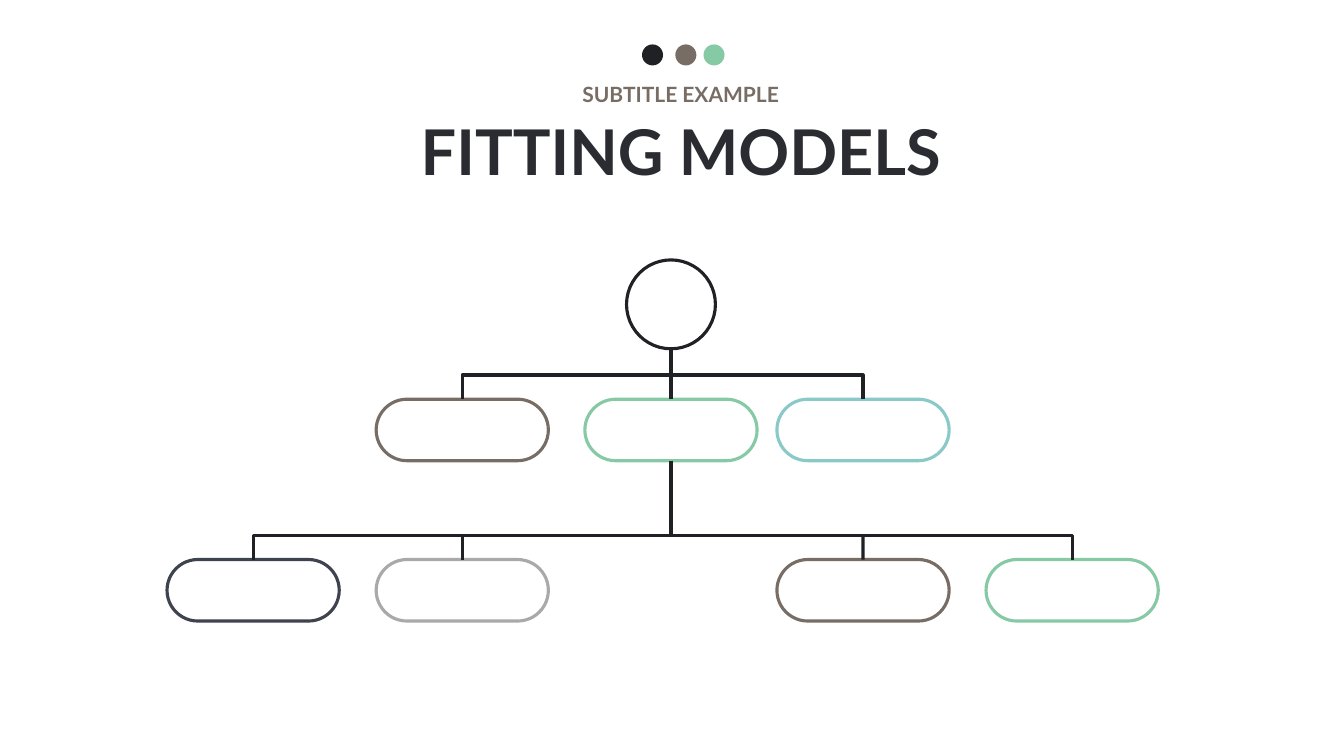
import pptx
import pptx.util
import pptx.dml.color
import pptx.enum.shapes
import pptx.enum.text
import pptx.oxml.ns
from pptx.util import Cm, Pt

HEADINGS = [
    ("FITTING MODELS", 3.0, 1.8, 45, "2A2C31"),
    ("SUBTITLE EXAMPLE", 2.03, 0.74, 15, "776D64"),
]
DOTS = [(16.18, "202125"), (17.02, "776D64"), (17.73, "86C9A5")]
INK = "202125"
TRUNK_X = 16.91
ROOT_TOP, ROOT_SIZE = 6.55, 2.24
BRANCHES = [
    (10.06, [(11.65, "776D64"), (TRUNK_X, "86C9A5"), (21.75, "89C9C7")]),
    (14.1, [(6.38, "3F434F"), (11.65, "A9A9A9"), (21.75, "776D64"), (27.02, "86C9A5")]),
]
PILL_WIDTH, PILL_HEIGHT = 4.34, 1.55
BUS_GAP = 0.61
BOTTOM_SITE, TOP_SITE = 2, 0

SHAPES = pptx.enum.shapes.MSO_SHAPE
CONNECTORS = pptx.enum.shapes.MSO_CONNECTOR


def color(hex_value):
    return pptx.dml.color.RGBColor.from_string(hex_value)


def write_heading(placeholder, text, top, height, size, ink):
    placeholder.left, placeholder.top = Cm(5.74), Cm(top)
    placeholder.width, placeholder.height = Cm(22.83), Cm(height)
    frame = placeholder.text_frame
    frame.text = text
    frame.word_wrap = True
    frame.auto_size = pptx.enum.text.MSO_AUTO_SIZE.NONE
    frame.vertical_anchor = pptx.enum.text.MSO_ANCHOR.MIDDLE
    frame.margin_left = frame.margin_right = Cm(0.18)
    frame.margin_top = frame.margin_bottom = Cm(0.1)
    paragraph = frame.paragraphs[0]
    paragraph.alignment = pptx.enum.text.PP_ALIGN.CENTER
    paragraph.line_spacing = 0.9
    paragraph.space_before = Pt(0)
    paragraph.font.name = "Lato"
    paragraph.font.size = Pt(size)
    paragraph.font.bold = True
    paragraph.font.color.rgb = color(ink)


def add_dot(slide, left, fill):
    dot = slide.shapes.add_shape(SHAPES.OVAL, Cm(left), Cm(1.12), Cm(0.53), Cm(0.53))
    dot.shadow.inherit = False
    dot.fill.solid()
    dot.fill.fore_color.rgb = color(fill)
    dot.line.fill.background()


def add_node(slide, center, top, width, height, outline):
    node = slide.shapes.add_shape(
        SHAPES.ROUNDED_RECTANGLE, Cm(center - width / 2), Cm(top), Cm(width), Cm(height))
    node.adjustments[0] = 0.5
    node.shadow.inherit = False
    node.fill.background()
    node.line.color.rgb = color(outline)
    node.line.width = Pt(2.25)
    return node


def add_link(slide, start, end, bent=False):
    kind = CONNECTORS.ELBOW if bent else CONNECTORS.STRAIGHT
    link = slide.shapes.add_connector(kind, *map(Cm, start + end))
    link.line.color.rgb = color(INK)
    link.line.width = Pt(2.25)
    properties = link._element.spPr
    if bent:
        properties.find(pptx.oxml.ns.qn("a:prstGeom")).set("prst", "bentConnector2")
    properties.append(pptx.oxml.parse_xml(
        f'<a:effectLst {pptx.oxml.ns.nsdecls("a")}/>'))
    return link


def main():
    deck = pptx.Presentation()
    deck.slide_width, deck.slide_height = Cm(33.87), Cm(19.05)
    slide = deck.slides.add_slide(deck.slide_layouts[2])
    for placeholder, heading in zip(slide.placeholders, HEADINGS):
        write_heading(placeholder, *heading)
    for dot in DOTS:
        add_dot(slide, *dot)

    parent = add_node(slide, TRUNK_X, ROOT_TOP, ROOT_SIZE, ROOT_SIZE, INK)
    parent_bottom = ROOT_TOP + ROOT_SIZE
    rows = [
        (top, [(x, add_node(slide, x, top, PILL_WIDTH, PILL_HEIGHT, outline))
               for x, outline in pills])
        for top, pills in BRANCHES
    ]

    for top, pills in rows:
        bus = top - BUS_GAP
        middle = dict(pills).get(TRUNK_X)
        trunk = add_link(slide, (TRUNK_X, parent_bottom), (TRUNK_X, top if middle else bus))
        trunk.begin_connect(parent, BOTTOM_SITE)
        if middle:
            trunk.end_connect(middle, TOP_SITE)
        outer = (pills[0][0], pills[-1][0])
        for x, pill in pills:
            if x != TRUNK_X:
                bent = x in outer
                link = add_link(slide, (TRUNK_X if bent else x, bus), (x, top), bent)
                link.end_connect(pill, TOP_SITE)
        parent, parent_bottom = middle, top + PILL_HEIGHT

    deck.save("out.pptx")


if __name__ == "__main__":
    main()
